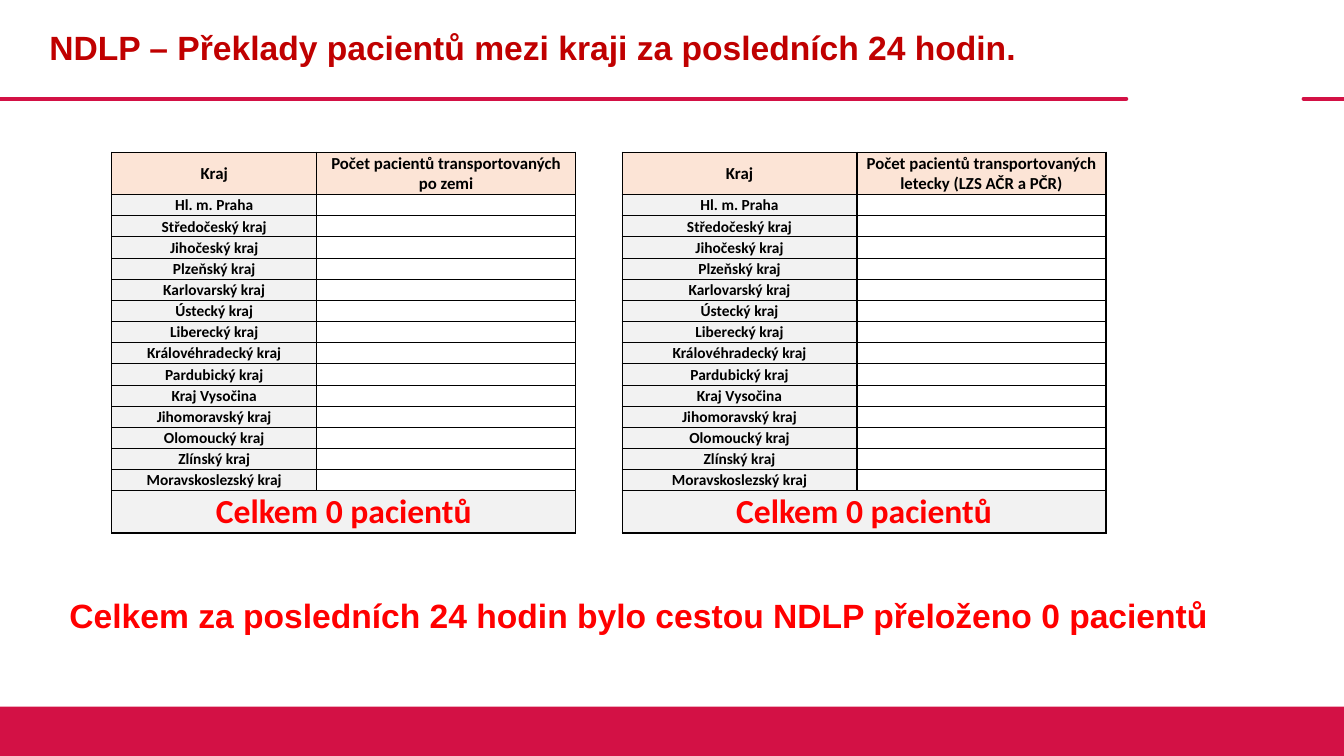
from lxml import etree
from pptx import Presentation
from pptx.dml.color import RGBColor
from pptx.enum.shapes import MSO_CONNECTOR, MSO_SHAPE
from pptx.enum.text import MSO_ANCHOR, PP_ALIGN
from pptx.oxml.ns import qn
from pptx.util import Inches, Pt

STRAIGHT = MSO_CONNECTOR.STRAIGHT
RECTANGLE = MSO_SHAPE.RECTANGLE
MIDDLE, TOP = MSO_ANCHOR.MIDDLE, MSO_ANCHOR.TOP
LEFT, CENTER = PP_ALIGN.LEFT, PP_ALIGN.CENTER

CRIMSON, DARK_RED, RED, BLACK = "D31145", "C00000", "FF0000", "000000"
PEACH, LIGHT_GREY = "FCE4D6", "F2F2F2"
SLIDE_WIDTH = 13.33
RULE_TOP = 0.98
TABLE_TOP = 1.51
TALL_ROW, REGION_ROW = 0.42, 0.21

REGIONS = [
    "Hl. m. Praha", "Středočeský kraj", "Jihočeský kraj", "Plzeňský kraj",
    "Karlovarský kraj", "Ústecký kraj", "Liberecký kraj",
    "Královéhradecký kraj", "Pardubický kraj", "Kraj Vysočina",
    "Jihomoravský kraj", "Olomoucký kraj", "Zlínský kraj",
    "Moravskoslezský kraj",
]
TRANSFER_TABLES = [
    (1.11, (2.03, 2.57), "Počet pacientů transportovaných\npo zemi"),
    (6.17, (2.33, 2.47), "Počet pacientů transportovaných letecky (LZS AČR a PČR)"),
]


def color(value):
    """Return the RGB colour of a hex string."""
    return RGBColor.from_string(value)


def format_text(text_frame, size, font_name, font_color, alignment):
    """Align every paragraph and format its runs in bold."""
    for paragraph in text_frame.paragraphs:
        paragraph.alignment = alignment
        for run in paragraph.runs:
            run.font.size = Pt(size)
            run.font.name = font_name
            run.font.bold = True
            run.font.color.rgb = color(font_color)


def add_rule(slide, start, end):
    """Add one part of the line under the title."""
    rule = slide.shapes.add_connector(
        STRAIGHT, Inches(start), Inches(RULE_TOP), Inches(end), Inches(RULE_TOP))
    rule.line.color.rgb = color(CRIMSON)
    rule.line.width = Pt(3)
    rule.get_or_add_ln().set("cap", "rnd")
    etree.SubElement(rule._element.spPr, qn("a:effectLst"))


def add_footer_band(slide):
    """Add the coloured band along the bottom edge."""
    band = slide.shapes.add_shape(
        RECTANGLE, 0, Inches(7.01), Inches(SLIDE_WIDTH), Inches(0.49))
    band.shadow.inherit = False
    band.fill.solid()
    band.fill.fore_color.rgb = color(CRIMSON)
    band.line.fill.background()


def add_heading(slide, text, box, font_color, alignment, anchor):
    """Add a bold 24-point line of text and return its paragraph."""
    shape = slide.shapes.add_textbox(*(Inches(length) for length in box))
    text_frame = shape.text_frame
    text_frame.word_wrap = True
    text_frame.vertical_anchor = anchor
    text_frame.text = text
    format_text(text_frame, 24, "Arial", font_color, alignment)
    return text_frame.paragraphs[0]


def set_borders(cell, top, bottom):
    """Draw black borders with 1-point sides around a cell."""
    properties = cell._tc.get_or_add_tcPr()
    for side, width in (("L", 1), ("R", 1), ("T", top), ("B", bottom)):
        line = etree.SubElement(properties, qn(f"a:ln{side}"), w=str(Pt(width)))
        fill = etree.SubElement(line, qn("a:solidFill"))
        etree.SubElement(fill, qn("a:srgbClr"), val=BLACK)


def fill_cell(cell, text, size, font_color, fill_color):
    """Set the text, insets and fill of a cell."""
    cell.margin_left = cell.margin_right = cell.margin_top = Inches(0.01)
    cell.margin_bottom = 0
    cell.vertical_anchor = MIDDLE
    cell.text = text
    format_text(cell.text_frame, size, "Calibri", font_color, CENTER)
    if fill_color:
        cell.fill.solid()
        cell.fill.fore_color.rgb = color(fill_color)
    else:
        cell.fill.background()
    if not text:
        paragraph = cell.text_frame.paragraphs[0]
        etree.SubElement(paragraph._p, qn("a:endParaRPr"), sz=str(size * 100))


def add_transfer_table(slide, left, widths, count_header):
    """Add a table of patient transfers by region."""
    rows = [("Kraj", count_header, 12, BLACK, PEACH, PEACH)]
    rows += [(region, "", 11, BLACK, LIGHT_GREY, None) for region in REGIONS]
    rows.append(("Celkem 0 pacientů", "", 24, RED, LIGHT_GREY, LIGHT_GREY))
    last = len(rows) - 1
    heights = [TALL_ROW] + [REGION_ROW] * len(REGIONS) + [TALL_ROW]
    frame = slide.shapes.add_table(
        len(rows), 2, Inches(left), Inches(TABLE_TOP),
        Inches(sum(widths)), Inches(sum(heights)))
    table = frame.table
    table.first_row = table.horz_banding = False
    for column, width in zip(table.columns, widths):
        column.width = Inches(width)
    for index, (label, count, size, font_color, *fills) in enumerate(rows):
        table.rows[index].height = Inches(heights[index])
        for column, text in enumerate((label, count)):
            cell = table.cell(index, column)
            set_borders(cell, 1 if index == 0 else 0.5, 1 if index == last else 0.5)
            fill_cell(cell, text, size, font_color, fills[column])
    table.cell(last, 0).merge(table.cell(last, 1))


def main():
    """Build the slide of patient transfers between regions."""
    presentation = Presentation()
    presentation.slide_width = Inches(SLIDE_WIDTH)
    presentation.slide_height = Inches(7.5)
    slide = presentation.slides.add_slide(presentation.slide_layouts[6])
    add_rule(slide, 0, 11.17)
    add_rule(slide, 12.93, SLIDE_WIDTH)
    add_footer_band(slide)
    title = add_heading(
        slide, "NDLP – Překlady pacientů mezi kraji za posledních 24 hodin.",
        (0.39, 0, 10.81, 0.98), DARK_RED, LEFT, MIDDLE)
    title.line_spacing = 0.9
    for left, widths, count_header in TRANSFER_TABLES:
        add_transfer_table(slide, left, widths, count_header)
    add_heading(
        slide, "Celkem za posledních 24 hodin bylo cestou NDLP přeloženo 0 pacientů",
        (0.51, 5.85, 11.65, 0.5), RED, CENTER, TOP)
    presentation.save("out.pptx")


if __name__ == "__main__":
    main()
